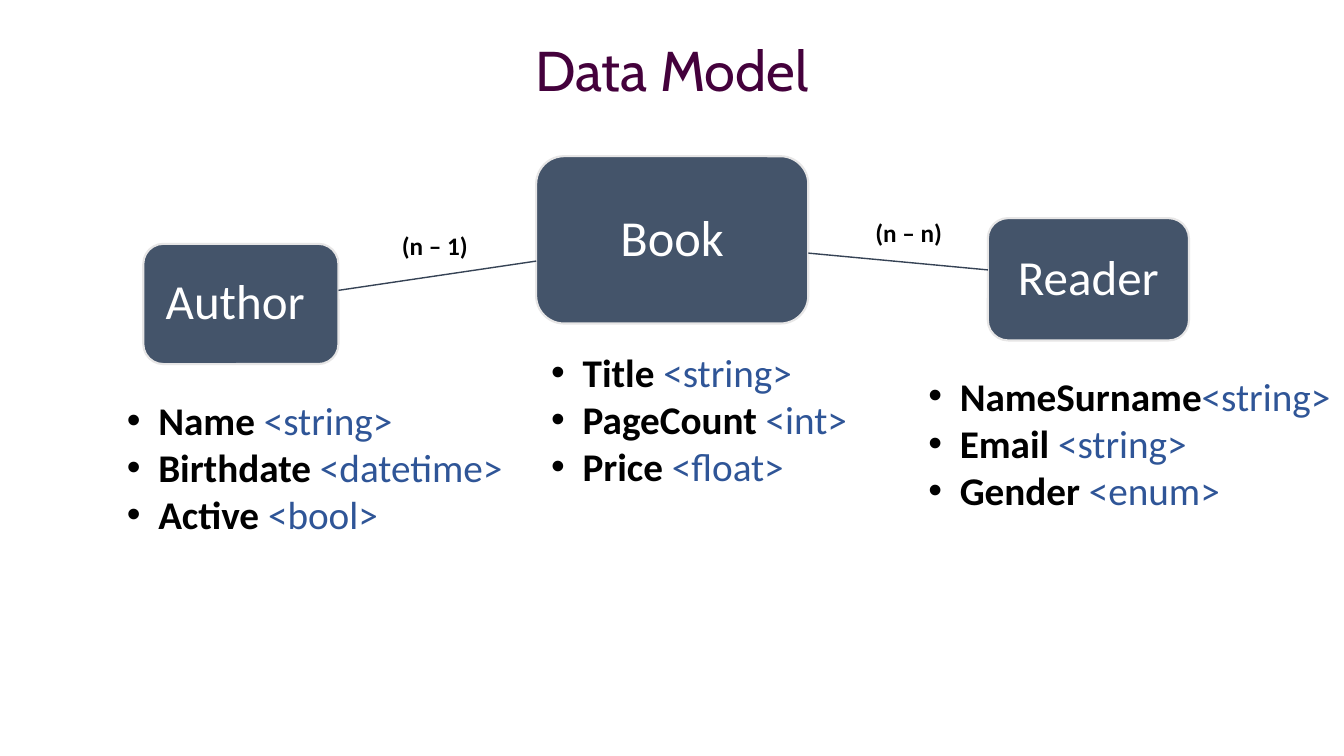
from dataclasses import dataclass

from lxml.etree import SubElement
from pptx import Presentation
from pptx.dml.color import RGBColor
from pptx.enum.shapes import MSO_CONNECTOR, MSO_SHAPE
from pptx.enum.text import MSO_ANCHOR, PP_ALIGN
from pptx.oxml.ns import qn
from pptx.util import Pt


@dataclass(frozen=True)
class Theme:
    title_font: str = "Cabin"
    body_font: str = "Calibri"
    title_color: str = "44013C"
    node_fill: str = "44546A"
    node_line: str = "E7E6E6"
    link_color: str = "364355"
    light: str = "FFFFFF"
    dark: str = "000000"
    type_color: str = "2F5597"
    title_size: int = 40
    main_node_size: int = 36
    node_size: int = 35
    field_size: int = 28
    link_size: int = 18


THEME = Theme()
SLIDE_WIDTH, SLIDE_HEIGHT = 960, 540
BULLET_INDENT = 22.5

# Boxes are left, top, width, height in points
TITLE_BOX = (0, 0, SLIDE_WIDTH, 105)
ENTITIES = [
    ("Book", THEME.main_node_size, (383, 111.6, 194.4, 119.5), (386.6, 245.5, 237, 211),
     [("Title ", "<string>"), ("PageCount ", "<int>"), ("Price ", "<float>")]),
    ("Author ", THEME.node_size, (102.4, 174.2, 139.4, 85.9), (83.5, 279.4, 294, 177),
     [("Name ", "<string>"), ("Birthdate ", "<datetime>"), ("Active ", "<bool>")]),
    ("Reader", THEME.node_size, (705.6, 155.8, 143.7, 87.4), (656, 262.1, 304, 143),
     [("NameSurname", "<string>"), ("Email ", "<string>"), ("Gender ", "<enum>")]),
]
# Line start, line end, label, label box
LINKS = [
    ((383, 186.5), (241.8, 207.4), "(n – 1)", (275, 160.6, 71.3, 29)),
    ((577.4, 180.8), (705.6, 192.8), "(n – n)", (613.4, 151.9, 71.3, 29)),
]


def color(value):
    return RGBColor.from_string(value)


def add_run(paragraph, text, *, size, fill, font=THEME.body_font, bold=False):
    run = paragraph.add_run()
    run.text = text
    run.font.name = font
    run.font.size = Pt(size)
    run.font.bold = bold
    run.font.color.rgb = color(fill)


def add_text_frame(slide, box, anchor=MSO_ANCHOR.TOP):
    text_frame = slide.shapes.add_textbox(*map(Pt, box)).text_frame
    text_frame.word_wrap = True
    text_frame.vertical_anchor = anchor
    return text_frame


def add_title(slide, box, text):
    paragraph = add_text_frame(slide, box, MSO_ANCHOR.MIDDLE).paragraphs[0]
    paragraph.alignment = PP_ALIGN.CENTER
    paragraph.line_spacing = 0.9
    add_run(paragraph, text, size=THEME.title_size, fill=THEME.title_color,
            font=THEME.title_font)


def add_node(slide, box, name, size):
    shape = slide.shapes.add_shape(MSO_SHAPE.ROUNDED_RECTANGLE, *map(Pt, box))
    shape.shadow.inherit = False
    shape.fill.solid()
    shape.fill.fore_color.rgb = color(THEME.node_fill)
    shape.line.color.rgb = color(THEME.node_line)
    shape.line.width = Pt(1.5)
    text_frame = shape.text_frame
    text_frame.word_wrap = True
    text_frame.vertical_anchor = MSO_ANCHOR.MIDDLE
    text_frame.margin_top = text_frame.margin_bottom = Pt(7.2)
    paragraph = text_frame.paragraphs[0]
    paragraph.alignment = PP_ALIGN.CENTER
    paragraph.line_spacing = 0.9
    add_run(paragraph, name, size=size, fill=THEME.light)


def add_bullet(paragraph):
    properties = paragraph._p.get_or_add_pPr()
    properties.set("marL", str(Pt(BULLET_INDENT)))
    properties.set("indent", str(-Pt(BULLET_INDENT)))
    SubElement(properties, qn("a:buFont"), typeface="Arial")
    SubElement(properties, qn("a:buChar"), char="•")


def add_fields(slide, box, fields):
    text_frame = add_text_frame(slide, box)
    for index, (name, data_type) in enumerate(fields):
        paragraph = text_frame.add_paragraph() if index else text_frame.paragraphs[0]
        add_bullet(paragraph)
        add_run(paragraph, name, size=THEME.field_size, fill=THEME.dark, bold=True)
        add_run(paragraph, data_type, size=THEME.field_size, fill=THEME.type_color)


def add_link(slide, start, end, label, label_box):
    connector = slide.shapes.add_connector(MSO_CONNECTOR.STRAIGHT, *map(Pt, start + end))
    connector.line.color.rgb = color(THEME.link_color)
    connector.line.width = Pt(1)
    SubElement(connector._element.spPr, qn("a:effectLst"))
    paragraph = add_text_frame(slide, label_box).paragraphs[0]
    paragraph.alignment = PP_ALIGN.CENTER
    add_run(paragraph, label, size=THEME.link_size, fill=THEME.dark, bold=True)


def add_data_model(slide):
    add_title(slide, TITLE_BOX, "Data Model")
    # Entities with their fields
    for name, size, node_box, fields_box, fields in ENTITIES:
        add_node(slide, node_box, name, size)
        add_fields(slide, fields_box, fields)
    # Relations between the entities
    for link in LINKS:
        add_link(slide, *link)


def main():
    presentation = Presentation()
    presentation.slide_width = Pt(SLIDE_WIDTH)
    presentation.slide_height = Pt(SLIDE_HEIGHT)
    add_data_model(presentation.slides.add_slide(presentation.slide_layouts[6]))
    presentation.save("out.pptx")


if __name__ == "__main__":
    main()
